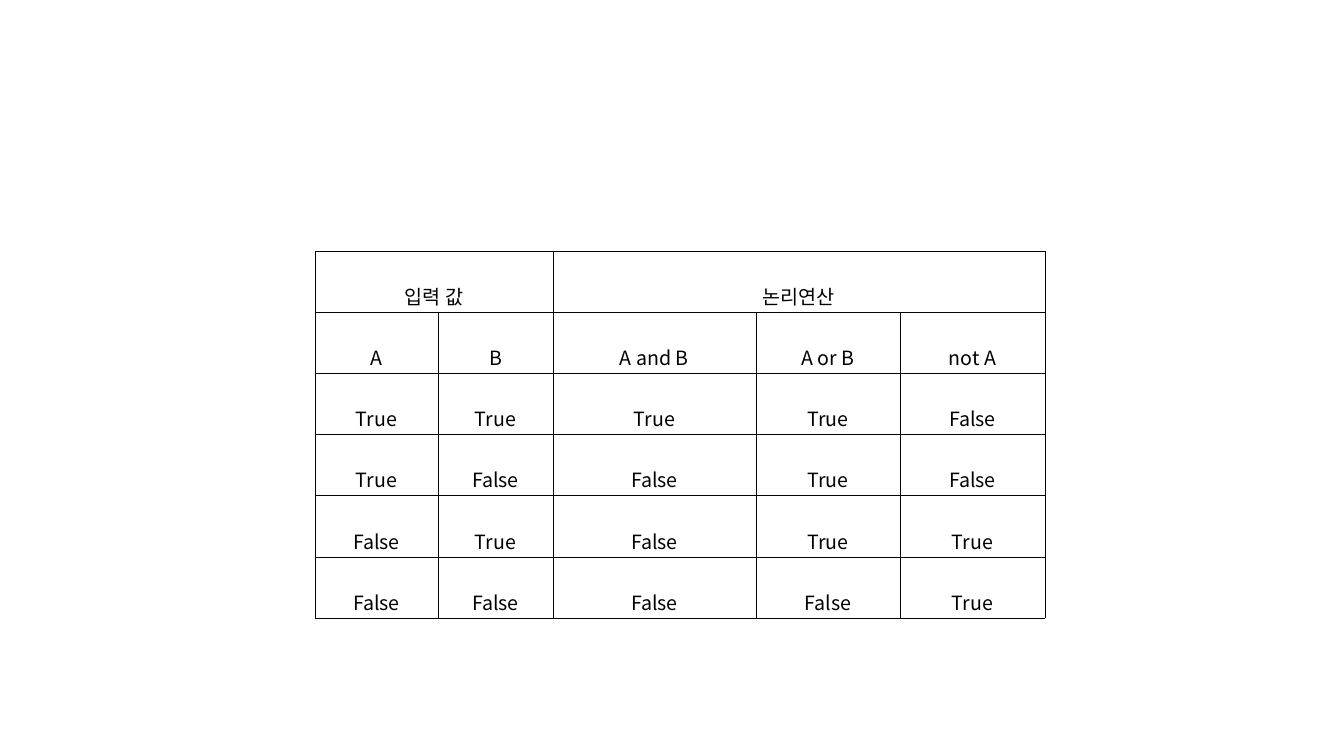
from dataclasses import dataclass

from lxml import etree
from pptx import Presentation
from pptx import util as u
from pptx.dml.color import RGBColor
from pptx.enum import text
from pptx.oxml import ns

# Each header group: label, number of columns it spans
GROUPS = [("입력 값", 2), ("논리연산", 3)]
ROWS = [
    ["A", "B", "A and B", "A or B", "not A"],
    ["True", "True", "True", "True", "False"],
    ["True", "False", "False", "True", "False"],
    ["False", "True", "False", "True", "True"],
    ["False", "False", "False", "False", "True"],
]

# Lengths in px
SLIDE = (1344, 756)
TABLE_LEFT, TABLE_TOP = 315, 251
COLUMN_WIDTHS = [123, 115, 203, 144, 145]
ROW_HEIGHT = 49
INSET_X, INSET_Y = 7, 2


@dataclass(frozen=True)
class Theme:
    font: str = "Noto Sans CJK KR"
    size: int = 14
    ink: str = "000000"
    fill: str = "FFFFFF"
    border: str = "0A0000"
    border_width: float = 0.28


THEME = Theme()


def px(length):
    return u.Emu(round(length * 914400 / 100.8))


def write(frame, words, font=THEME.font, size=THEME.size, color=THEME.ink, spacing=2.0):
    para = frame.paragraphs[0]
    para.alignment = text.PP_ALIGN.CENTER
    para.line_spacing = spacing
    span = para.add_run()
    span.text = words
    span.font.name = font
    span.font.size = u.Pt(size)
    span.font.color.rgb = RGBColor.from_string(color)
    east_asian = etree.SubElement(span.font._element, ns.qn("a:ea"))
    east_asian.set("typeface", font)


def style_cell(cell):
    cell.vertical_anchor = text.MSO_ANCHOR.MIDDLE
    cell.margin_left = cell.margin_right = px(INSET_X)
    cell.margin_top = cell.margin_bottom = px(INSET_Y)
    properties = cell._tc.get_or_add_tcPr()
    for side in ("lnL", "lnR", "lnT", "lnB"):
        line = etree.SubElement(properties, ns.qn(f"a:{side}"))
        line.set("w", str(u.Pt(THEME.border_width)))
        paint = etree.SubElement(line, ns.qn("a:solidFill"))
        etree.SubElement(paint, ns.qn("a:srgbClr")).set("val", THEME.border)
    cell.fill.solid()
    cell.fill.fore_color.rgb = RGBColor.from_string(THEME.fill)


def add_truth_table(page):
    row_count = len(ROWS) + 1
    frame = page.shapes.add_table(
        row_count, len(COLUMN_WIDTHS), px(TABLE_LEFT), px(TABLE_TOP),
        px(sum(COLUMN_WIDTHS)), px(ROW_HEIGHT * row_count))
    table = frame.table
    table.first_row = table.horz_banding = False
    for column, width in zip(table.columns, COLUMN_WIDTHS):
        column.width = px(width)
    for row in table.rows:
        row.height = px(ROW_HEIGHT)
    for cell in table.iter_cells():
        style_cell(cell)

    start = 0
    for label, count in GROUPS:
        header = table.cell(0, start)
        header.merge(table.cell(0, start + count - 1))
        write(header.text_frame, label)
        start += count
    for r, values in enumerate(ROWS, 1):
        for c, value in enumerate(values):
            write(table.cell(r, c).text_frame, value)


def main():
    deck = Presentation()
    deck.slide_width, deck.slide_height = map(px, SLIDE)
    page = deck.slides.add_slide(deck.slide_layouts[6])
    add_truth_table(page)
    deck.save("out.pptx")


if __name__ == "__main__":
    main()
